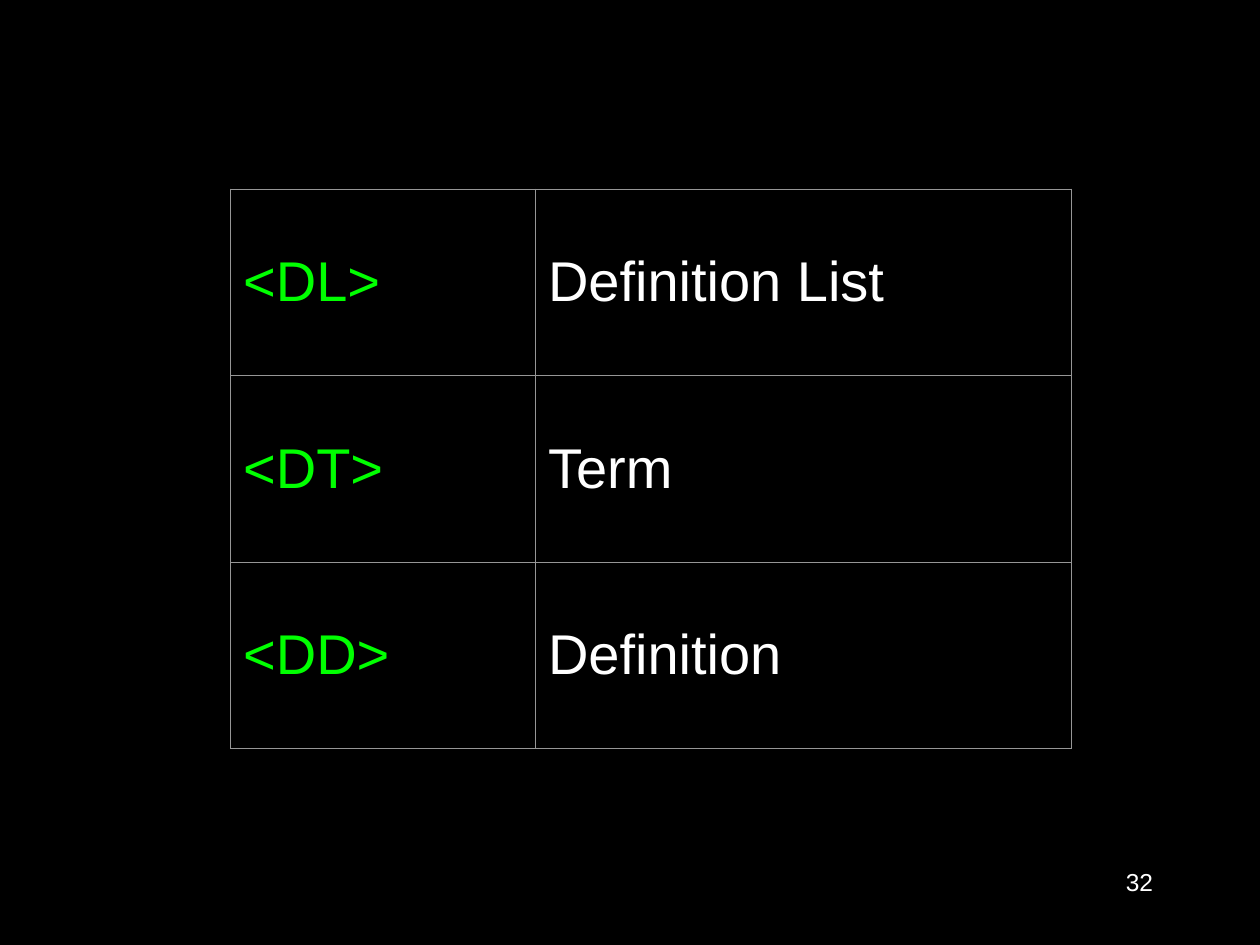
from lxml.etree import SubElement
from pptx import Presentation
from pptx.dml.color import RGBColor
from pptx.enum.text import MSO_ANCHOR as Anchor, PP_ALIGN as Align
from pptx.oxml.ns import qn
from pptx.util import Inches, Pt

DEFINITIONS = [
    ("<DL>", "Definition List"),
    ("<DT>", "Term"),
    ("<DD>", "Definition"),
]
PAGE_NUMBER = "32"
COLUMN_WIDTHS = (2.42, 4.25)
COLUMN_COLORS = ("00FF00", "FFFFFF")
ROW_HEIGHT = 1.48
BACKGROUND, GRID, WHITE = "000000", "969696", "FFFFFF"


def color(value):
    return RGBColor.from_string(value)


def add_run(paragraph, text, size, hex_color):
    run = paragraph.add_run()
    run.text = text
    run.font.name = "Arial"
    run.font.size = Pt(size)
    run.font.color.rgb = color(hex_color)


def set_borders(cell):
    properties = cell._tc.get_or_add_tcPr()
    for side in ("a:lnL", "a:lnR", "a:lnT", "a:lnB"):
        line = SubElement(properties, qn(side), w=str(Pt(0.45)))
        SubElement(SubElement(line, qn("a:solidFill")), qn("a:srgbClr"), val=GRID)


def add_definitions(slide):
    grid = slide.shapes.add_table(
        len(DEFINITIONS), len(COLUMN_WIDTHS), Inches(1.83), Inches(1.5),
        Inches(sum(COLUMN_WIDTHS)), Inches(ROW_HEIGHT * len(DEFINITIONS))).table
    grid.first_row = grid.horz_banding = False
    for column, width in zip(grid.columns, COLUMN_WIDTHS):
        column.width = Inches(width)
    for row, definition in zip(grid.rows, DEFINITIONS):
        row.height = Inches(ROW_HEIGHT)
        for cell, text, hex_color in zip(row.cells, definition, COLUMN_COLORS):
            set_borders(cell)
            cell.fill.solid()
            cell.fill.fore_color.rgb = color(BACKGROUND)
            cell.vertical_anchor = Anchor.MIDDLE
            add_run(cell.text_frame.paragraphs[0], text, 32, hex_color)


def add_page_number(slide):
    frame = slide.shapes.add_textbox(
        Inches(7.17), Inches(6.83), Inches(2.08), Inches(0.5)).text_frame
    frame.word_wrap = True
    paragraph = frame.paragraphs[0]
    paragraph.alignment = Align.RIGHT
    add_run(paragraph, PAGE_NUMBER, 14, WHITE)


def main():
    """Build the slide of HTML definition list tags."""
    deck = Presentation()
    deck.slide_width, deck.slide_height = Inches(10), Inches(7.5)
    slide = deck.slides.add_slide(deck.slide_layouts[6])
    slide.background.fill.solid()
    slide.background.fill.fore_color.rgb = color(BACKGROUND)
    add_definitions(slide)
    add_page_number(slide)
    deck.save("out.pptx")


if __name__ == "__main__":
    main()
